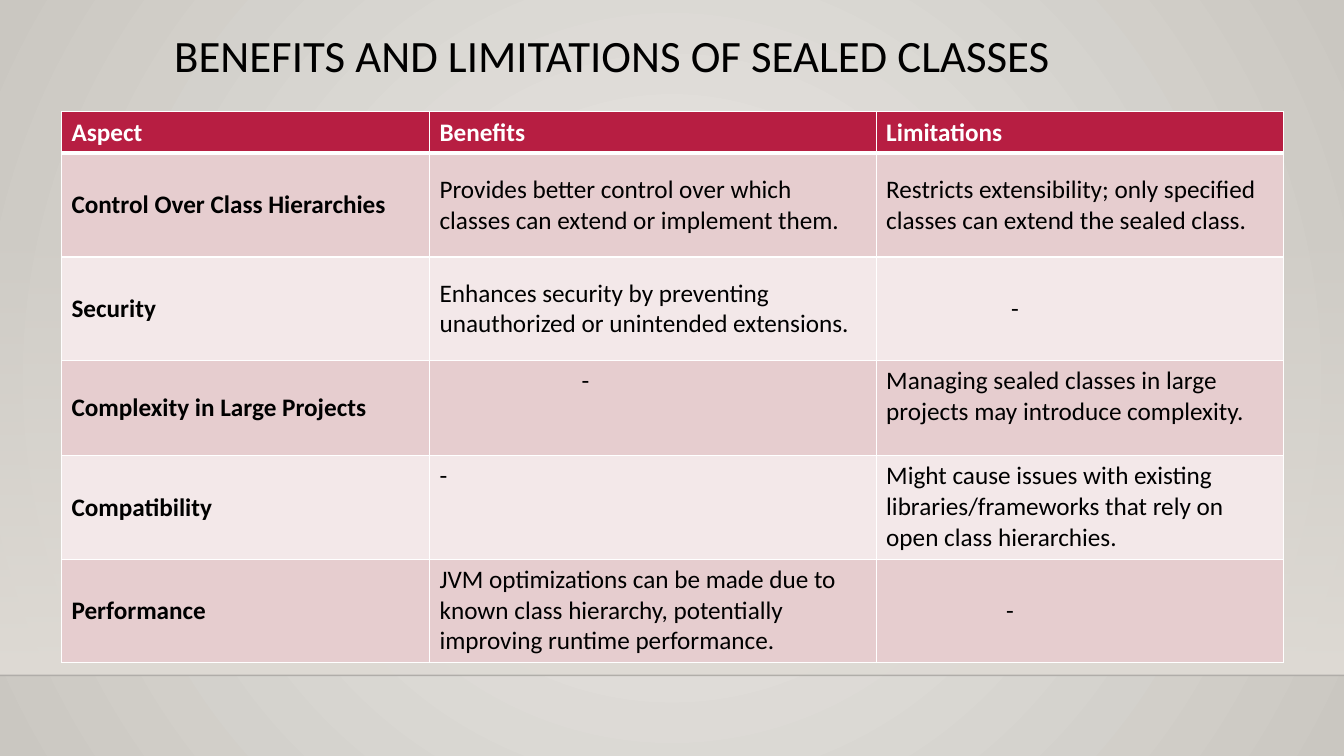
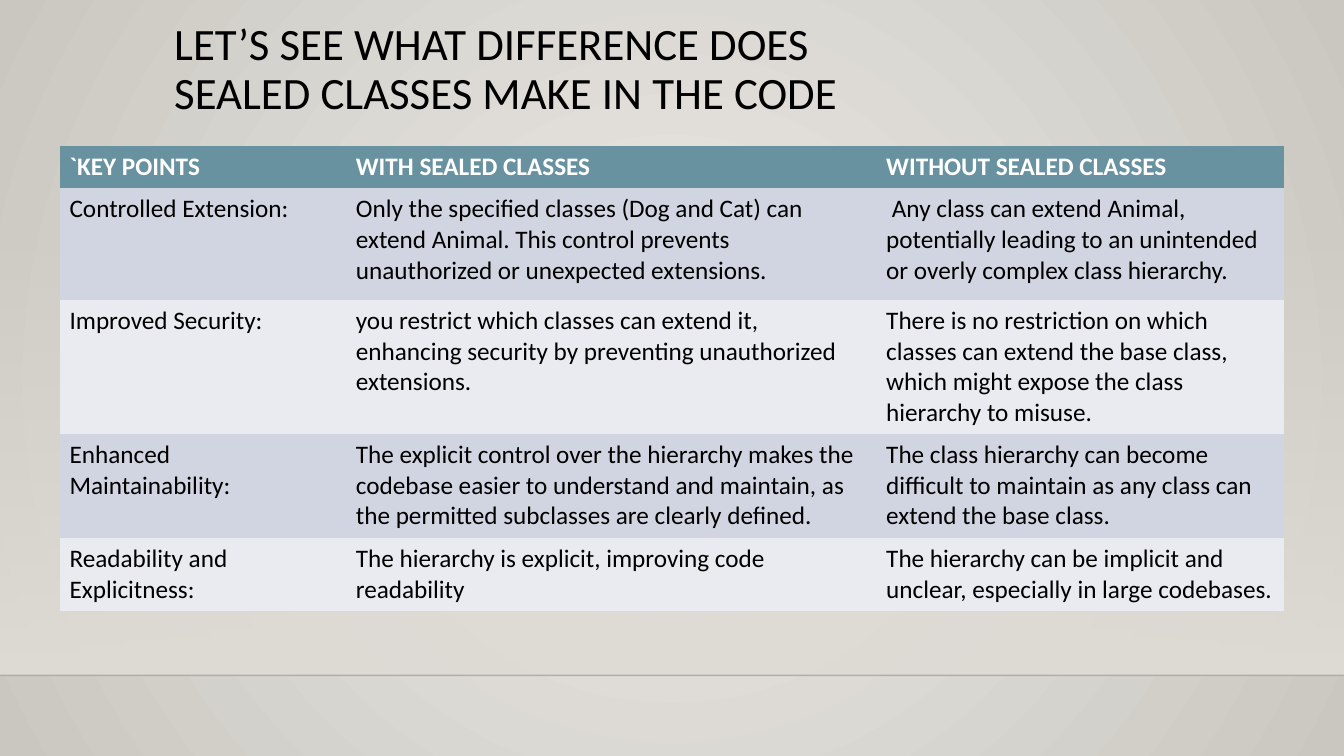
from dataclasses import dataclass, field

from lxml.etree import SubElement
from pptx import Presentation
from pptx.dml.color import RGBColor
from pptx.enum.shapes import MSO_CONNECTOR, MSO_SHAPE
from pptx.enum.text import MSO_ANCHOR
from pptx.oxml.ns import qn
from pptx.util import Inches, Pt

FONT = "Calibri"
BLACK = RGBColor(0x00, 0x00, 0x00)
WHITE = RGBColor(0xFF, 0xFF, 0xFF)
RULE = RGBColor(0x00, 0x00, 0x01)
BACKDROP_CENTRE = RGBColor(0xEC, 0xEA, 0xE7)
BACKDROP_EDGE = RGBColor(0xCA, 0xC7, 0xC1)
BAND = RGBColor(0xDF, 0xDB, 0xD5)
CRIMSON = RGBColor(0xB7, 0x1E, 0x42)
ROSE = RGBColor(0xE6, 0xCD, 0xCF)
PALE_ROSE = RGBColor(0xF3, 0xE8, 0xE9)
TEAL = RGBColor(0x68, 0x92, 0xA0)
LAVENDER = RGBColor(0xD1, 0xD5, 0xE1)
PALE_LAVENDER = RGBColor(0xEA, 0xEB, 0xF1)

PAGE_WIDTH = 13.33
PAGE_HEIGHT = 7.5
BAND_TOP = 2.21
BAND_BOTTOM = 6.7
CELL_MARGIN = 0.1


@dataclass
class TableLook:
    header: RGBColor
    bands: tuple
    bold_labels: bool = False
    ruled: bool = False
    middle: set = field(default_factory=set)
    indents: dict = field(default_factory=dict)


BENEFITS = [
    ["Aspect", "Benefits", "Limitations"],
    ["Control Over Class Hierarchies",
     "Provides better control over which classes can extend or implement them.",
     "Restricts extensibility; only specified classes can extend the sealed class."],
    ["Security",
     "Enhances security by preventing unauthorized or unintended extensions.",
     "-"],
    ["Complexity in Large Projects",
     "-",
     "Managing sealed classes in large projects may introduce complexity."],
    ["Compatibility",
     "-",
     "Might cause issues with existing libraries/frameworks that rely on open class hierarchies."],
    ["Performance",
     "JVM optimizations can be made due to known class hierarchy, "
     "potentially improving runtime performance.",
     "-"],
]

DIFFERENCES = [
    ["`KEY POINTS", "WITH SEALED CLASSES", "WITHOUT SEALED CLASSES"],
    ["Controlled Extension:",
     "Only the specified classes (Dog and Cat) can extend Animal. "
     "This control prevents unauthorized or unexpected extensions.",
     " Any class can extend Animal, potentially leading to an unintended "
     "or overly complex class hierarchy."],
    ["Improved Security:",
     "you restrict which classes can extend it, enhancing security "
     "by preventing unauthorized extensions.",
     "There is no restriction on which classes can extend the base class, "
     "which might expose the class hierarchy to misuse."],
    ["Enhanced Maintainability:",
     "The explicit control over the hierarchy makes the codebase easier to "
     "understand and maintain, as the permitted subclasses are clearly defined.",
     "The class hierarchy can become difficult to maintain as any class "
     "can extend the base class."],
    ["Readability and Explicitness:",
     "The hierarchy is explicit, improving code readability",
     "The hierarchy can be implicit and unclear, especially in large codebases."],
]

BENEFITS_LOOK = TableLook(
    CRIMSON, (ROSE, PALE_ROSE), bold_labels=True, ruled=True,
    middle={(row, column) for row in range(6) for column in range(3)
            if row < 3 or column == 0} | {(5, 2)},
    indents={(2, 2): 1.24, (3, 1): 1.41, (5, 2): 1.19},
)
DIFFERENCES_LOOK = TableLook(TEAL, (LAVENDER, PALE_LAVENDER))


def set_alpha(color_element, percent):
    SubElement(color_element, qn("a:alpha")).set("val", str(percent * 1000))


def set_gradient(fill, start, end):
    fill.gradient()
    for stop, color in zip(fill.gradient_stops, (start, end)):
        stop.color.rgb = color


def format_runs(text_frame, size, color, bold=False):
    for para in text_frame.paragraphs:
        for span in para.runs:
            span.font.name = FONT
            span.font.size = Pt(size)
            span.font.color.rgb = color
            span.font.bold = bold


def add_backdrop(page):
    set_gradient(page.background.fill, BACKDROP_CENTRE, BACKDROP_EDGE)
    gradient = next(page.element.iter(qn("a:gradFill")))
    gradient.remove(gradient.find(qn("a:lin")))
    circle = SubElement(gradient, qn("a:path"))
    circle.set("path", "circle")
    focus = SubElement(circle, qn("a:fillToRect"))
    for side in "ltrb":
        focus.set(side, "50000")

    band = page.shapes.add_shape(
        MSO_SHAPE.RECTANGLE, 0, Inches(BAND_TOP),
        Inches(PAGE_WIDTH), Inches(BAND_BOTTOM - BAND_TOP))
    band.shadow.inherit = False
    band.line.fill.background()
    set_gradient(band.fill, BAND, BAND)
    band.fill.gradient_angle = 270
    set_alpha(next(band.element.iter(qn("a:srgbClr"))), 0)

    rule = page.shapes.add_connector(
        MSO_CONNECTOR.STRAIGHT, 0, Inches(BAND_BOTTOM),
        Inches(PAGE_WIDTH), Inches(BAND_BOTTOM))
    rule.line.color.rgb = RULE
    rule.line.width = Pt(1)
    set_alpha(next(rule.element.iter(qn("a:srgbClr"))), 20)
    SubElement(rule.element.spPr, qn("a:effectLst"))


def add_title(page, title, left, top, width, height):
    box = page.shapes.add_textbox(
        Inches(left), Inches(top), Inches(width), Inches(height))
    frame = box.text_frame
    frame.word_wrap = True
    frame.text = title
    frame.paragraphs[0].line_spacing = 0.9
    format_runs(frame, 32, BLACK)


def set_borders(cell, widths):
    properties = cell._tc.get_or_add_tcPr()
    for index, (side, width) in enumerate(zip("LRTB", widths)):
        border = SubElement(properties, qn(f"a:ln{side}"))
        properties.insert(index, border)
        border.set("w", str(Pt(width)))
        if width:
            solid = SubElement(border, qn("a:solidFill"))
            SubElement(solid, qn("a:srgbClr")).set("val", str(WHITE))
        else:
            SubElement(border, qn("a:noFill"))


def format_cell(cell, row, column, text, look):
    is_header = row == 0
    cell.text = text
    cell.fill.solid()
    cell.fill.fore_color.rgb = look.header if is_header else look.bands[(row - 1) % 2]
    cell.margin_left = Inches(CELL_MARGIN + look.indents.get((row, column), 0))
    is_middle = (row, column) in look.middle
    cell.vertical_anchor = MSO_ANCHOR.MIDDLE if is_middle else MSO_ANCHOR.TOP
    format_runs(cell.text_frame, 18, WHITE if is_header else BLACK,
                is_header or (look.bold_labels and column == 0))
    if look.ruled:
        set_borders(cell, (1, 1, 3 if row == 1 else 1, 3 if is_header else 1))
    else:
        set_borders(cell, (0, 0, 0, 0))


def add_comparison(page, rows, look, left, top, widths, heights):
    table = page.shapes.add_table(
        len(rows), len(widths), Inches(left), Inches(top),
        Inches(sum(widths)), Inches(sum(heights))).table
    table.horz_banding = False
    for column, width in zip(table.columns, widths):
        column.width = Inches(width)
    for row, height in zip(table.rows, heights):
        row.height = Inches(height)
    for row, texts in enumerate(rows):
        for column, text in enumerate(texts):
            format_cell(table.cell(row, column), row, column, text, look)


def add_page(deck):
    page = deck.slides.add_slide(deck.slide_layouts[6])
    add_backdrop(page)
    return page


def main():
    deck = Presentation()
    deck.slide_width = Inches(PAGE_WIDTH)
    deck.slide_height = Inches(PAGE_HEIGHT)

    page = add_page(deck)
    add_title(page, "BENEFITS AND LIMITATIONS OF SEALED CLASSES", 1.63, 0.29, 10.5, 1.3)
    add_comparison(page, BENEFITS, BENEFITS_LOOK, 0.61, 1.11,
                   (3.65, 4.43, 4.04), (0.41, 1.03, 1.03, 0.94, 1.03, 1.02))

    page = add_page(deck)
    add_title(page, "LET’S SEE WHAT DIFFERENCE DOES\vSEALED CLASSES MAKE IN THE CODE",
              1.63, 0.17, 10.5, 1.15)
    add_comparison(page, DIFFERENCES, DIFFERENCES_LOOK, 0.59, 1.45,
                   (2.84, 5.26, 4.05), (0.42, 1.11, 1.33, 1.03, 0.72))

    deck.save("out.pptx")


if __name__ == "__main__":
    main()
